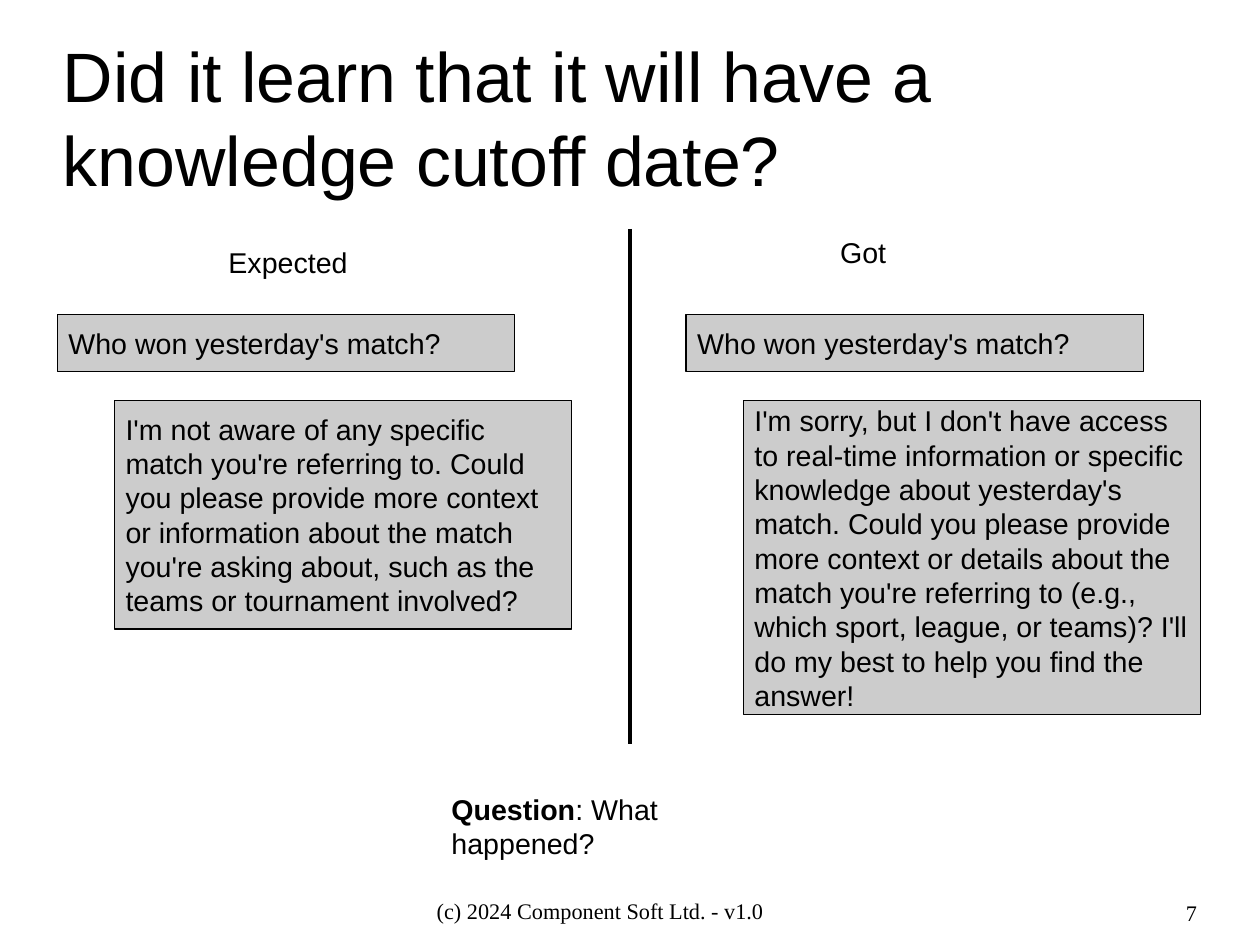
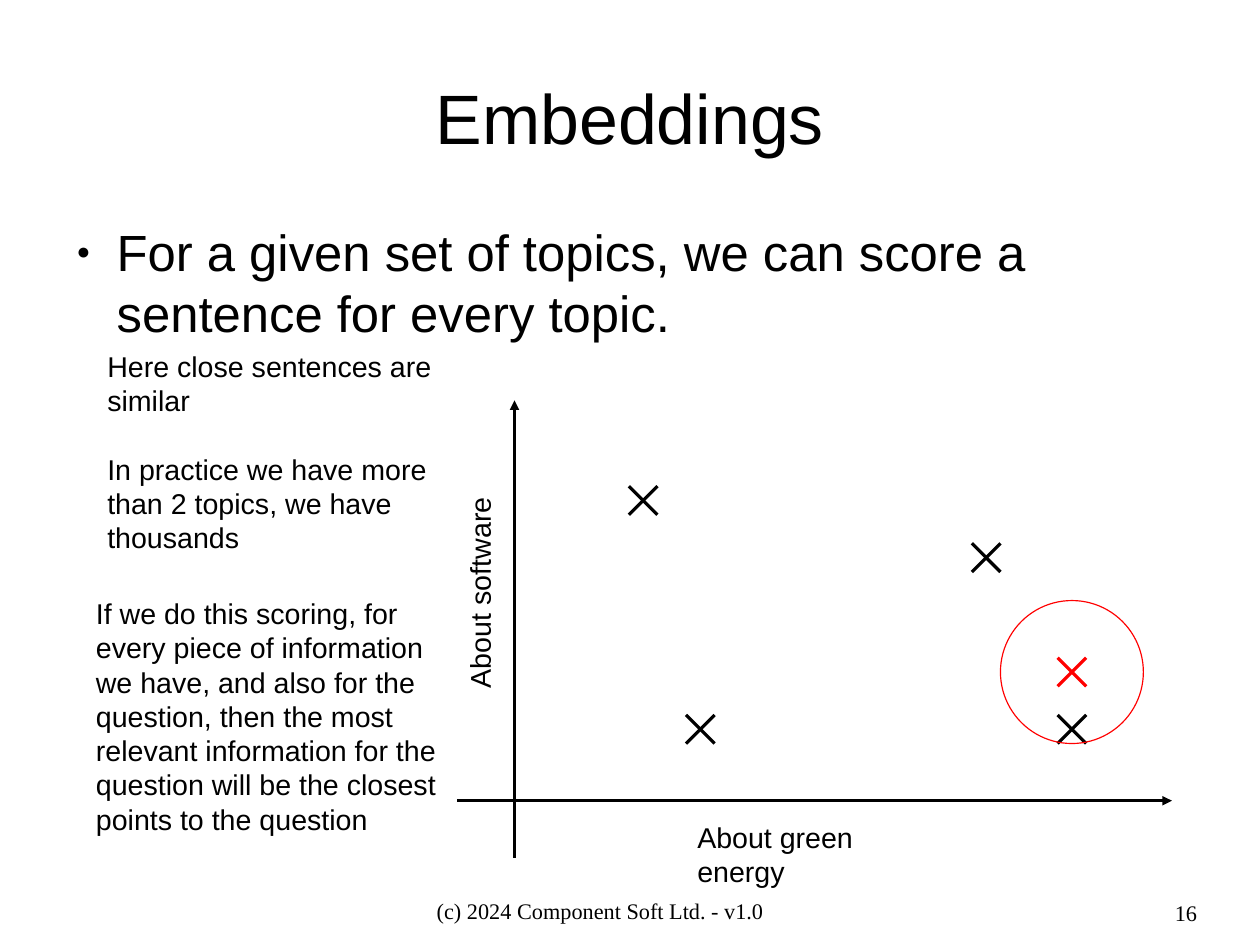
"""Builds two training slides: a knowledge cutoff dialogue and an embeddings plot."""
import lxml.etree
import pptx
import pptx.dml.color
import pptx.enum.shapes
import pptx.enum.text
import pptx.oxml.ns
import pptx.util

COLORS = {"ink": "000000", "bubble": "CCCCCC", "highlight": "FF0000"}
SANS, SERIF = "Arial", "Times New Roman"
CELL = 0.25
WIDTH, HEIGHT = 44.08, 33.08
TITLE_AT = (2.2, 1.32, 39.68, 5.52)
BODY_AT = (2.2, 7.72, 39.68, 19.2)
FOOTER_AT = (11, 31.36, 20, 1)
NUMBER_AT = (31.6, 31.44, 10.28, 0.88)
COPYRIGHT = "(c) 2024 Component Soft Ltd. - v1.0"
LINE_GAP = 21.6
ALIGN = pptx.enum.text.PP_ALIGN
ANCHOR = pptx.enum.text.MSO_ANCHOR
AUTO_SIZE = pptx.enum.text.MSO_AUTO_SIZE
SHAPES = pptx.enum.shapes.MSO_SHAPE

QUESTION = "Who won yesterday's match?"
DIALOGUES = [
    (2, "Expected", (7.6, 8.36, 4.96, 1.52), 8,
     "I'm not aware of any specific match you're referring to. Could you please provide more "
     "context or information about the match you're asking about, such as the teams or "
     "tournament involved?"),
    (24, "Got", (29, 8, 2.4, 1.52), 11,
     "I'm sorry, but I don't have access to real-time information or specific knowledge about "
     "yesterday's match. Could you please provide more context or details about the match "
     "you're referring to (e.g., which sport, league, or teams)? I'll do my best to help you "
     "find the answer!"),
]
SENTENCES = [(37, 25, "ink"), (37, 23, "highlight"), (34, 19, "ink"),
             (24, 25, "ink"), (22, 17, "ink")]


def cells(count):
    """Converts grid cells to a length."""
    return pptx.util.Inches(count * CELL)


def color(name):
    """Looks up a named colour."""
    return pptx.dml.color.RGBColor.from_string(COLORS[name])


def write(frame, paragraphs, size=18, font=SANS, align=ALIGN.LEFT):
    """Fills a frame with paragraphs given as (space before, (text, bold) runs)."""
    for index, (gap, runs) in enumerate(paragraphs):
        paragraph = frame.add_paragraph() if index else frame.paragraphs[0]
        paragraph.alignment = align
        paragraph.space_before = pptx.util.Pt(gap)
        for text, bold in runs:
            run = paragraph.add_run()
            run.text = text
            run.font.size = pptx.util.Pt(size)
            run.font.name = font
            run.font.bold = bold
            run.font.color.rgb = color("ink")


def plain(text, gap=0):
    """Describes a paragraph made of one regular run."""
    return gap, [(text, False)]


def clear_margins(frame):
    """Removes the insets of a frame."""
    frame.margin_left = frame.margin_top = frame.margin_right = frame.margin_bottom = 0


def fill_placeholder(placeholder, at, anchor, text, size, align=ALIGN.LEFT):
    """Moves a placeholder onto the grid and writes its text."""
    placeholder.left, placeholder.top, placeholder.width, placeholder.height = map(cells, at)
    frame = placeholder.text_frame
    clear_margins(frame)
    frame.word_wrap = True
    frame.auto_size = AUTO_SIZE.NONE
    frame.vertical_anchor = anchor
    write(frame, [plain(text)], size, align=align)


def set_bullet(paragraph):
    """Gives a paragraph a small round bullet with a hanging indent."""
    properties = paragraph._p.get_or_add_pPr()
    properties.set("marL", str(pptx.util.Inches(0.47)))
    properties.set("indent", str(pptx.util.Inches(-0.35)))
    for tag, key, value in (("a:buSzPct", "val", "45000"), ("a:buChar", "char", "●")):
        lxml.etree.SubElement(properties, pptx.oxml.ns.qn(tag)).set(key, value)


def add_label(slide, at, paragraphs, wrap=False, rotation=0):
    """Adds free text that sizes its box."""
    label = slide.shapes.add_textbox(*map(cells, at))
    label.rotation = rotation
    label.text_frame.word_wrap = wrap
    label.text_frame.auto_size = AUTO_SIZE.SHAPE_TO_FIT_TEXT
    write(label.text_frame, paragraphs)


def add_outline(slide, preset, at, line, fill=None):
    """Adds a hairline shape, filled if a colour is named."""
    shape = slide.shapes.add_shape(preset, *map(cells, at))
    shape.shadow.inherit = False
    shape.line.color.rgb = color(line)
    shape.line.width = 0
    if fill:
        shape.fill.solid()
        shape.fill.fore_color.rgb = color(fill)
    else:
        shape.fill.background()
    return shape


def add_bubble(slide, at, text):
    """Adds a chat message."""
    frame = add_outline(slide, SHAPES.RECTANGLE, at, "ink", "bubble").text_frame
    frame.word_wrap = True
    frame.vertical_anchor = ANCHOR.MIDDLE
    write(frame, [plain(text)])


def add_line(slide, start, end, name="ink", arrow=False):
    """Adds a hairline, optionally with an arrowhead at its end."""
    line = slide.shapes.add_connector(
        pptx.enum.shapes.MSO_CONNECTOR.STRAIGHT, *map(cells, start + end))
    line.line.color.rgb = color(name)
    line.line.width = 0
    properties = line.element.spPr
    qn = pptx.oxml.ns.qn
    if arrow:
        lxml.etree.SubElement(properties.find(qn("a:ln")), qn("a:tailEnd")).set("type", "triangle")
    lxml.etree.SubElement(properties, qn("a:effectLst"))


def add_cross(slide, col, row, name):
    """Marks a sentence in the plot with a one-cell cross."""
    add_line(slide, (col, row), (col + 1, row + 1), name)
    add_line(slide, (col, row + 1), (col + 1, row), name)


def add_slide(deck, layout, title, align=ALIGN.LEFT):
    """Starts a slide with the shared title style."""
    slide = deck.slides.add_slide(deck.slide_layouts[layout])
    fill_placeholder(slide.shapes.title, TITLE_AT, ANCHOR.MIDDLE, title, 44, align)
    return slide


def add_footer(slide, number):
    """Adds the copyright line and the page number."""
    for at, text, align in ((FOOTER_AT, COPYRIGHT, ALIGN.CENTER),
                            (NUMBER_AT, str(number), ALIGN.RIGHT)):
        frame = slide.shapes.add_textbox(*map(cells, at)).text_frame
        clear_margins(frame)
        frame.word_wrap = True
        write(frame, [plain(text)], 14, SERIF, align)


def build_cutoff(deck):
    """Compares the expected and the given answer."""
    slide = add_slide(deck, 5, "Did it learn that it will have a knowledge cutoff date?")
    for col, heading, heading_at, rows, answer in DIALOGUES:
        add_label(slide, heading_at, [plain(heading)])
        add_bubble(slide, (col, 11, 16, 2), QUESTION)
        add_bubble(slide, (col + 2, 14, 16, rows), answer)
    add_line(slide, (WIDTH / 2, 8), (WIDTH / 2, 26))
    add_label(slide, (15.4, 27.48, 13.28, 1.52),
              [(0, [("Question", True), (": What happened?", False)])], wrap=True)
    add_footer(slide, 7)


def build_embeddings(deck):
    """Plots sentences by their scores on two topics."""
    slide = add_slide(deck, 1, "Embeddings", ALIGN.CENTER)
    topics = slide.placeholders[1]
    set_bullet(topics.text_frame.paragraphs[0])
    fill_placeholder(topics, BODY_AT, ANCHOR.TOP,
                     "For a given set of topics, we can score a sentence for every topic.", 32)
    add_line(slide, (16, 28), (41, 28), arrow=True)
    add_line(slide, (18, 30), (18, 14), arrow=True)
    for sentence in SENTENCES:
        add_cross(slide, *sentence)
    add_outline(slide, SHAPES.OVAL, (35, 21, 5, 5), "highlight")
    add_label(slide, (24, 28.48, 9.56, 1.52), [plain("About green energy")])
    add_label(slide, (13, 19.96, 7.48, 1.52), [plain("About software")], rotation=270)
    add_label(slide, (3.36, 12, 14.64, 7.12), [
        plain("Here close sentences are similar"),
        plain("In practice we have more", LINE_GAP),
        plain("than 2 topics, we have thousands")], wrap=True)
    add_label(slide, (2.96, 20.64, 13, 8.24), [plain(
        "If we do this scoring, for every piece of information we have, and also for the "
        "question, then the most relevant information for the question will be the closest "
        "points to the question")], wrap=True)
    add_footer(slide, 16)


def main():
    """Builds and saves the deck."""
    deck = pptx.Presentation()
    deck.slide_width, deck.slide_height = cells(WIDTH), cells(HEIGHT)
    build_cutoff(deck)
    build_embeddings(deck)
    deck.save("out.pptx")


if __name__ == "__main__":
    main()
